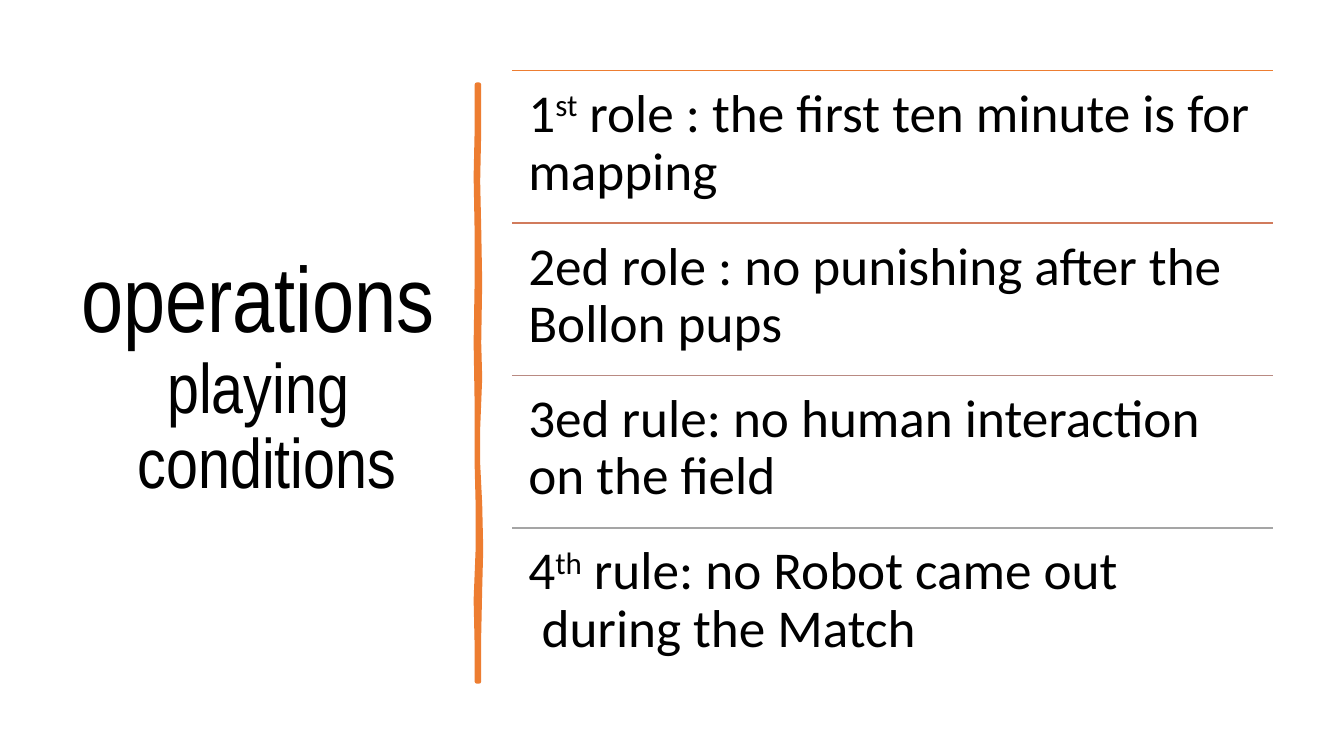
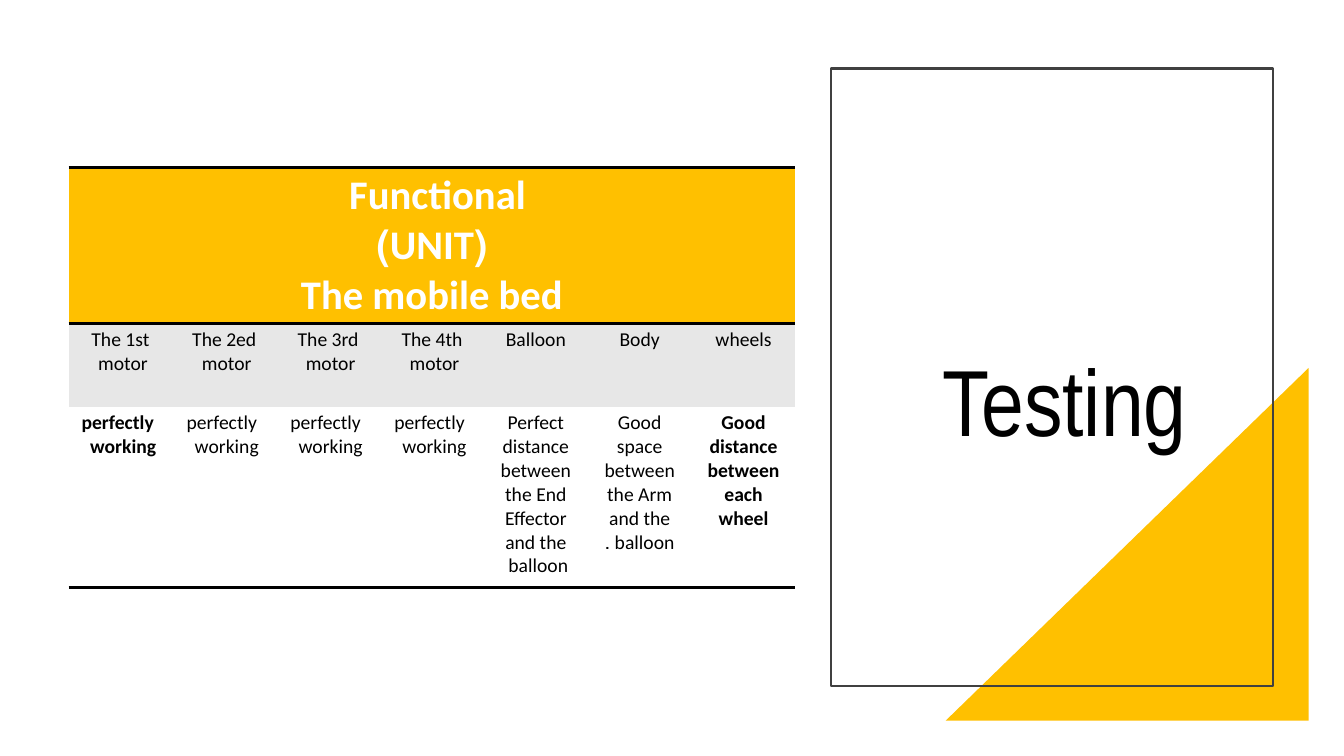
"""Build two slides: the playing conditions and the unit test table."""
from lxml import etree
from pptx import Presentation
from pptx import util as u
from pptx.dml import color
from pptx.enum import shapes, text
from pptx.oxml import ns

PX = 9144
BLACK, WHITE, ORANGE, GOLD = "000000", "FFFFFF", "ED7D31", "FFC000"
GREY, FRAME = "E7E7E7", "404040"
TITLE_FONT, BODY_FONT = "Arial Narrow", "Calibri"
CENTER, LEFT = text.PP_ALIGN.CENTER, text.PP_ALIGN.LEFT

RULES = [
    (ORANGE, ["1", "^st", " role : the first ten minute is for mapping"]),
    ("D17B5C", ["2ed role : no punishing after the Bollon pups"]),
    ("B98A82", ["3ed rule: no human interaction on the field"]),
    ("A5A5A5", ["4", "^th", " rule: no Robot came out during the Match "]),
]
RULES_LEFT, RULES_TOP, RULES_WIDTH, RULES_HEIGHT = 508, 70, 755, 605

BRUSH_RIGHT = [(475, 84), (475, 130), (474, 180), (475, 226), (476, 280),
               (475, 340), (476, 375), (474, 425), (474, 460), (476, 500),
               (477, 545), (476, 584), (475, 630), (475, 676)]
BRUSH_LEFT = [(473, 676), (473, 640), (472, 595), (474, 545), (474, 500),
              (473, 460), (473, 400), (472, 340), (473, 280), (473, 230),
              (472, 175), (473, 130), (473, 84)]

HEADING = ["Functional ", "(UNIT)", "The mobile bed"]
PARTS = ["The 1st motor ", "The 2ed motor ", "The 3rd motor ", "The 4th motor ",
         "Balloon", "Body", "wheels"]
RESULTS = [" perfectly working "] * 4 + [
    "Perfect distance between the End Effector and the balloon ",
    "Good space between the Arm and the balloon .",
    "Good distance between each wheel",
]
BOLD_COLUMNS = (0, len(PARTS) - 1)
ROW_HEIGHTS = [155, 83, 179]
COLUMN_WIDTH = 103


def px(*lengths):
    return [u.Emu(round(length * PX)) for length in lengths]


def rgb(value):
    return color.RGBColor.from_string(value)


def paint(shape, fill=None, line=None, width=1):
    shape.shadow.inherit = False
    if fill:
        shape.fill.solid()
        shape.fill.fore_color.rgb = rgb(fill)
    else:
        shape.fill.background()
    if line:
        shape.line.color.rgb = rgb(line)
        shape.line.width = u.Pt(width)
    else:
        shape.line.fill.background()


def set_margins(holder, side, upright):
    holder.margin_left, holder.margin_right = px(side, side)
    holder.margin_top, holder.margin_bottom = px(upright, upright)


def style_para(para, align, rtl=True, spacing=None):
    para.alignment = align
    para.line_spacing = spacing
    if rtl:
        para._p.get_or_add_pPr().set("rtl", "1")


def add_span(para, words, size, font=BODY_FONT, ink=BLACK, bold=False):
    span = para.add_run()
    span.text = words.removeprefix("^")
    span.font.size, span.font.name, span.font.bold = u.Pt(size), font, bold
    span.font.color.rgb = rgb(ink)
    if words.startswith("^"):
        span._r.get_or_add_rPr().set("baseline", "30000")


def add_box(page, area, anchor):
    frame = page.shapes.add_textbox(*px(*area)).text_frame
    frame.word_wrap = True
    frame.vertical_anchor = anchor
    return frame


def add_title(page, area, anchor, lines, rtl):
    para = add_box(page, area, anchor).paragraphs[0]
    style_para(para, CENTER, rtl, 0.9)
    for index, (words, size) in enumerate(lines):
        if index:
            para.add_line_break()
        add_span(para, words, size, TITLE_FONT)


def add_rule(page, top, height, ink, spans):
    right = RULES_LEFT + RULES_WIDTH
    line = page.shapes.add_connector(
        shapes.MSO_CONNECTOR.STRAIGHT, *px(RULES_LEFT, top, right, top))
    line.line.color.rgb = rgb(ink)
    line.line.width = u.Pt(1)
    etree.SubElement(line._element.spPr, ns.qn("a:effectLst"))
    frame = add_box(page, (RULES_LEFT, top, RULES_WIDTH, height), text.MSO_ANCHOR.TOP)
    set_margins(frame, 16, 16)
    para = frame.paragraphs[0]
    style_para(para, LEFT, spacing=0.9)
    for words in spans:
        add_span(para, words, 38)


def set_borders(cell, edges):
    props = cell._tc.get_or_add_tcPr()
    for index, edge in enumerate("LRTB"):
        border = etree.Element(ns.qn(f"a:ln{edge}"), w=str(u.Pt(2)))
        if edge in edges:
            fill = etree.SubElement(border, ns.qn("a:solidFill"))
            etree.SubElement(fill, ns.qn("a:srgbClr"), val=BLACK)
        else:
            etree.SubElement(border, ns.qn("a:noFill"))
        props.insert(index, border)


def fill_cell(cell, lines, fill, edges, size=14, ink=BLACK, bold=False):
    cell.fill.solid()
    cell.fill.fore_color.rgb = rgb(fill)
    set_borders(cell, edges)
    set_margins(cell, 8, 4)
    frame = cell.text_frame
    for index, words in enumerate(lines):
        para = frame.add_paragraph() if index else frame.paragraphs[0]
        style_para(para, CENTER)
        add_span(para, words, size, ink=ink, bold=bold)


def add_test_table(page):
    count = len(PARTS)
    area = px(68, 166, COLUMN_WIDTH * count, sum(ROW_HEIGHTS))
    table = page.shapes.add_table(len(ROW_HEIGHTS), count, *area).table
    table.first_row = table.horz_banding = False
    for column in table.columns:
        column.width = px(COLUMN_WIDTH)[0]
    for row, height in zip(table.rows, ROW_HEIGHTS):
        row.height = px(height)[0]
    table.cell(0, 0).merge(table.cell(0, count - 1))
    for index, (part, result) in enumerate(zip(PARTS, RESULTS)):
        heading = [] if index else HEADING
        fill_cell(table.cell(0, index), heading, GOLD, "TB", 29, WHITE, True)
        fill_cell(table.cell(1, index), [part], GREY, "T")
        fill_cell(table.cell(2, index), [result], WHITE, "B", bold=index in BOLD_COLUMNS)


def build_conditions(page):
    add_title(page, (69, 70, 374, 611), text.MSO_ANCHOR.MIDDLE,
              [("operations", 66), ("playing conditions ", 50)], True)
    outline = page.shapes.build_freeform(*BRUSH_RIGHT[0], scale=PX)
    outline.add_line_segments(BRUSH_RIGHT[1:] + BRUSH_LEFT, close=True)
    paint(outline.convert_to_shape(), ORANGE, ORANGE, 3.25)
    step = RULES_HEIGHT / len(RULES)
    for index, (ink, spans) in enumerate(RULES):
        add_rule(page, RULES_TOP + index * step, step, ink, spans)


def build_testing(page):
    kinds = shapes.MSO_SHAPE
    corner = page.shapes.add_shape(kinds.RIGHT_TRIANGLE, *px(938, 365, 360, 350))
    corner._element.spPr.xfrm.set("flipH", "1")
    paint(corner, GOLD)
    frame = page.shapes.add_shape(kinds.RECTANGLE, *px(824, 68, 439, 613))
    paint(frame, line=FRAME, width=1.5)
    add_title(page, (881, 116, 350, 342), text.MSO_ANCHOR.BOTTOM, [("Testing", 67)], False)
    add_test_table(page)


def main():
    deck = Presentation()
    deck.slide_width, deck.slide_height = px(1333, 750)
    for build in (build_conditions, build_testing):
        build(deck.slides.add_slide(deck.slide_layouts[6]))
    deck.save("out.pptx")


if __name__ == "__main__":
    main()
